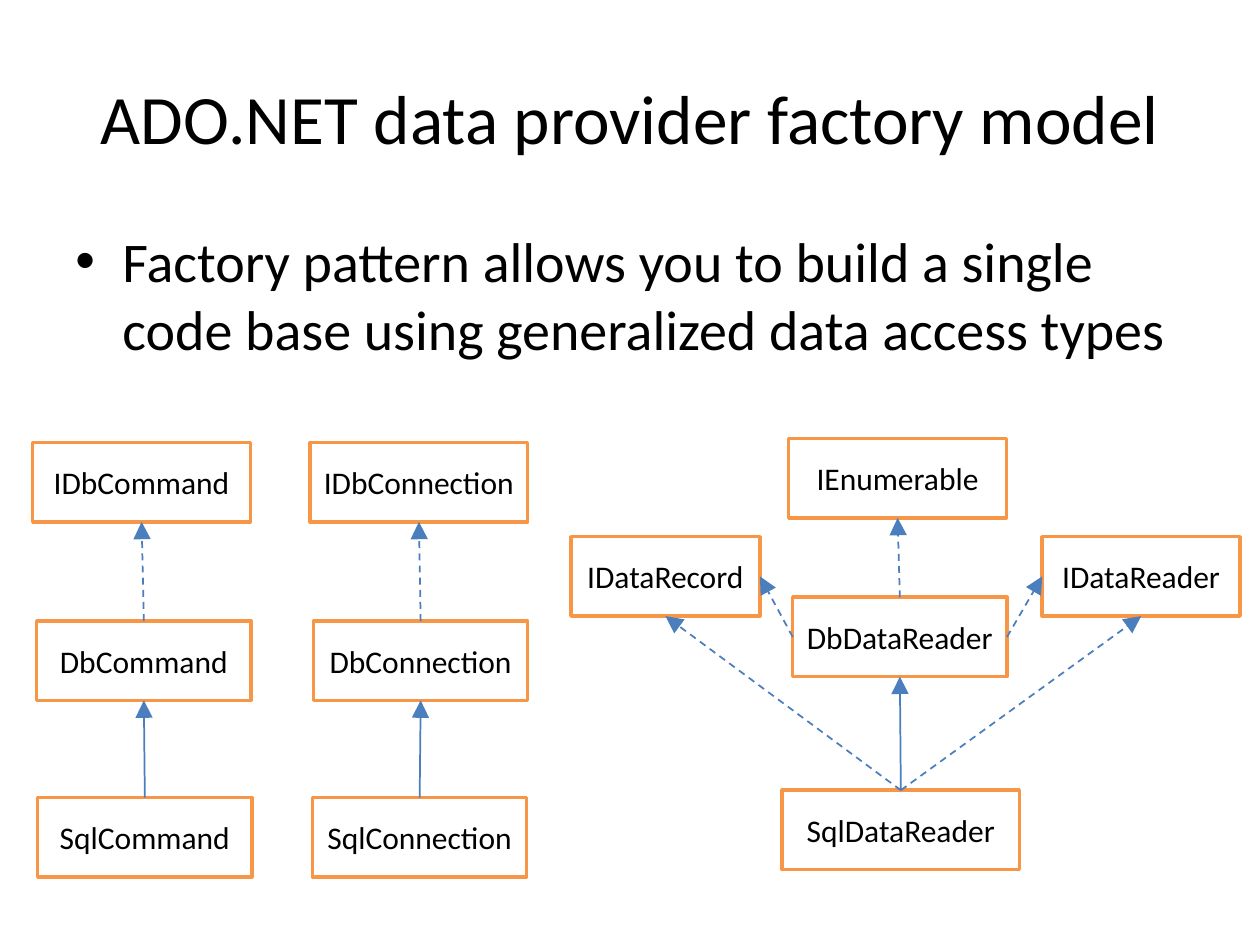
from dataclasses import dataclass

from lxml.etree import SubElement
from pptx import Presentation
from pptx.dml.color import RGBColor
from pptx.enum.dml import MSO_LINE
from pptx.enum.shapes import MSO_CONNECTOR, MSO_SHAPE
from pptx.enum.text import MSO_ANCHOR, PP_ALIGN
from pptx.oxml.ns import qn
from pptx.util import Cm, Pt

BLACK = RGBColor(0x00, 0x00, 0x00)
WHITE = RGBColor(0xFF, 0xFF, 0xFF)
ORANGE = RGBColor(0xF7, 0x96, 0x46)
BLUE = RGBColor(0x4B, 0x7E, 0xBC)

BOX_HEIGHT = 1.6
TOP, LEFT, BOTTOM, RIGHT = range(4)


@dataclass(frozen=True)
class TypeBox:
    """A named type; lengths in centimetres."""
    name: str
    left: float
    top: float
    width: float = 4.32


@dataclass(frozen=True)
class Relation:
    """An arrow from a type to its base; dashed for an interface."""
    child: str
    base: str
    dashed: bool = True
    child_side: int = TOP
    base_side: int = BOTTOM


TYPES = [
    TypeBox("IDbCommand", 0.66, 8.92, 4.39),
    TypeBox("DbCommand", 0.74, 12.52),
    TypeBox("SqlCommand", 0.76, 16.08),
    TypeBox("IDbConnection", 6.25, 8.92, 4.39),
    TypeBox("DbConnection", 6.32, 12.52),
    TypeBox("SqlConnection", 6.3, 16.08),
    TypeBox("IEnumerable", 15.9, 8.84, 4.39),
    TypeBox("DbDataReader", 15.98, 12.04),
    TypeBox("SqlDataReader", 15.77, 15.93, 4.78),
    TypeBox("IDataReader", 21.01, 10.82, 3.99),
    TypeBox("IDataRecord", 11.51, 10.82, 3.81),
]

RELATIONS = [
    Relation("DbCommand", "IDbCommand"),
    Relation("SqlCommand", "DbCommand", dashed=False),
    Relation("DbConnection", "IDbConnection"),
    Relation("SqlConnection", "DbConnection", dashed=False),
    Relation("DbDataReader", "IEnumerable"),
    Relation("SqlDataReader", "DbDataReader", dashed=False),
    Relation("SqlDataReader", "IDataReader"),
    Relation("SqlDataReader", "IDataRecord"),
    Relation("DbDataReader", "IDataRecord", child_side=LEFT, base_side=RIGHT),
    Relation("DbDataReader", "IDataReader", child_side=RIGHT, base_side=LEFT),
]


def write_text(shape, text: str, *, size: float, align=PP_ALIGN.CENTER,
               anchor=MSO_ANCHOR.MIDDLE, side_inset: float = 0.25,
               bullet: str = "", space_before: float = 0) -> None:
    """Put one formatted paragraph into a shape."""
    frame = shape.text_frame
    frame.word_wrap = True
    frame.vertical_anchor = anchor
    frame.margin_left = frame.margin_right = Cm(side_inset)
    paragraph = frame.paragraphs[0]
    paragraph.alignment = align
    paragraph.space_before = Pt(space_before)
    run = paragraph.add_run()
    run.text = text
    run.font.name = "Calibri"
    run.font.size = Pt(size)
    run.font.color.rgb = BLACK
    if bullet:
        properties = paragraph._p.get_or_add_pPr()
        properties.set("marL", str(Cm(0.95)))
        properties.set("indent", str(-Cm(0.95)))
        SubElement(properties, qn("a:buFont"), typeface="Arial")
        SubElement(properties, qn("a:buChar"), char=bullet)


def draw_type(slide, box: TypeBox):
    """Draw the outlined box of a type and return it."""
    shape = slide.shapes.add_shape(MSO_SHAPE.RECTANGLE, Cm(box.left), Cm(box.top),
                                   Cm(box.width), Cm(BOX_HEIGHT))
    shape.shadow.inherit = False
    shape.fill.solid()
    shape.fill.fore_color.rgb = WHITE
    shape.line.color.rgb = ORANGE
    shape.line.width = Pt(2)
    write_text(shape, box.name, size=18, side_inset=0.1)
    return shape


def draw_relation(slide, relation: Relation, boxes: dict) -> None:
    """Draw the arrow of a relation, glued to both boxes."""
    arrow = slide.shapes.add_connector(MSO_CONNECTOR.STRAIGHT, 0, 0, 0, 0)
    arrow.begin_connect(boxes[relation.child], relation.child_side)
    arrow.end_connect(boxes[relation.base], relation.base_side)
    arrow.line.color.rgb = BLUE
    arrow.line.width = Pt(1)
    if relation.dashed:
        arrow.line.dash_style = MSO_LINE.DASH
    SubElement(arrow.line._get_or_add_ln(), qn("a:tailEnd"),
               type="triangle", w="lg", len="lg")
    SubElement(arrow._element.spPr, qn("a:effectLst"))


def main() -> None:
    """Build the slide and save it."""
    presentation = Presentation()
    presentation.slide_width, presentation.slide_height = Cm(25.4), Cm(19.05)
    slide = presentation.slides.add_slide(presentation.slide_layouts[6])

    title = slide.shapes.add_textbox(Cm(1.27), Cm(0.76), Cm(22.86), Cm(3.18))
    write_text(title, "ADO.NET data provider factory model", size=39.6)
    summary = slide.shapes.add_textbox(Cm(1.27), Cm(4.45), Cm(22.86), Cm(3.68))
    write_text(summary, "Factory pattern allows you to build a single code base "
               "using generalized data access types", size=32, align=PP_ALIGN.LEFT,
               anchor=MSO_ANCHOR.TOP, bullet="•", space_before=6.4)

    boxes = {box.name: draw_type(slide, box) for box in TYPES}
    for relation in RELATIONS:
        draw_relation(slide, relation, boxes)
    presentation.save("out.pptx")


main()
